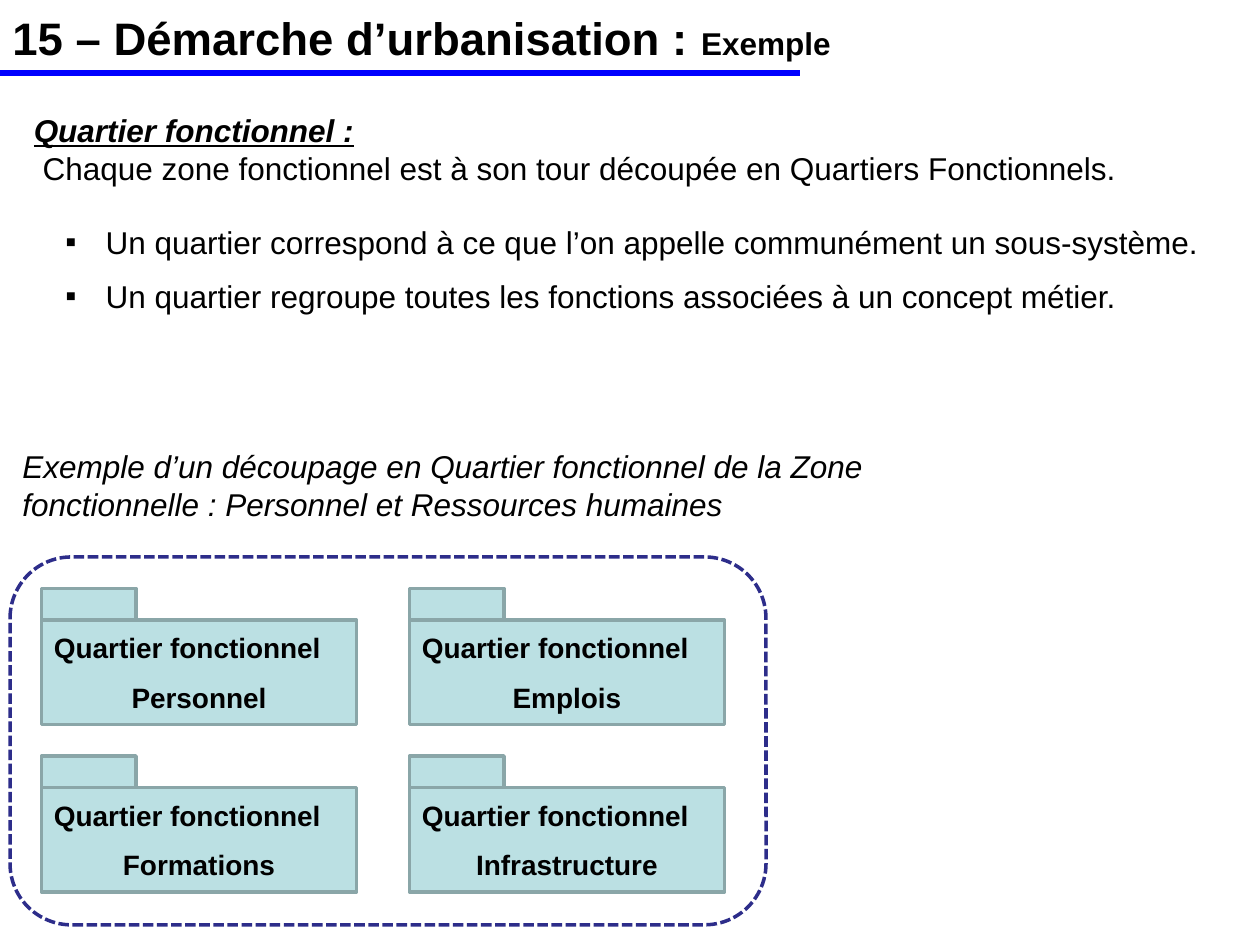
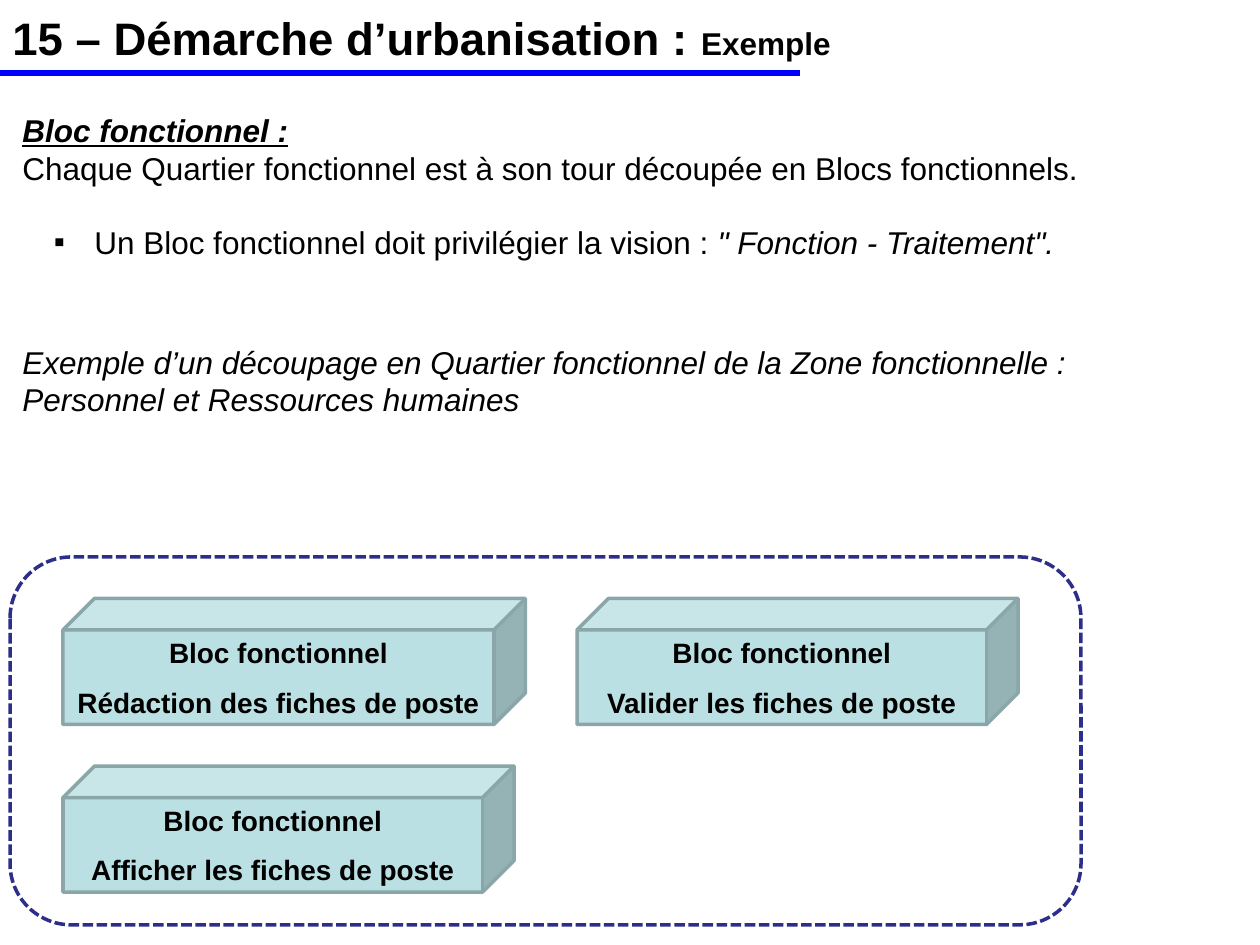
from lxml.etree import SubElement
from pptx import Presentation
from pptx.dml.color import RGBColor
from pptx.enum.dml import MSO_LINE
from pptx.enum.shapes import MSO_CONNECTOR, MSO_SHAPE
from pptx.enum.text import MSO_ANCHOR, PP_ALIGN
from pptx.oxml.ns import qn
from pptx.util import Inches, Pt

FONT = "Arial"
BLACK, WHITE, BLUE = "000000", "FFFFFF", "0000FF"
FRAME_LINE, BLOCK_FILL, BLOCK_LINE = "2D2D8A", "BBE0E3", "8AA6A8"
LEFT, BODY_TOP, FRAME_TOP, FRAME_HEIGHT = 0.08, 0.83, 4.42, 2.92
ROW_PITCH, COLUMN_PITCH = 1.33, 2.92
FOLDER_WIDTH, FOLDER_HEIGHT, TAB_WIDTH, TAB_HEIGHT = 2.5, 0.83, 0.75, 0.25
CUBE_HEIGHT = 1


def rgb(color):
    return RGBColor.from_string(color)


def add_text(p, text, size=18, bold=False, italic=False, underline=False):
    r = p.add_run()
    r.text = text
    font = r.font
    font.name, font.size, font.color.rgb = FONT, Pt(size), rgb(BLACK)
    font.bold, font.italic, font.underline = bold, italic, underline
    return p


def add_paragraph(tf, before=0, align=PP_ALIGN.LEFT, margin=0, bullet=False):
    first = tf.paragraphs[0]
    p = tf.add_paragraph() if first.runs else first
    p.alignment = align
    p.space_before = Pt(before)
    pPr = p._p.get_or_add_pPr()
    pPr.set("marL", str(Inches(margin)))
    if bullet:
        pPr.set("indent", str(-Inches(0.32)))
        SubElement(pPr, qn("a:buFont"), typeface=FONT)
        SubElement(pPr, qn("a:buChar"), char="▪")
    return p


def add_box(s, left, top, width, height, anchor=MSO_ANCHOR.TOP):
    box = s.shapes.add_textbox(Inches(left), Inches(top), Inches(width), Inches(height))
    tf = box.text_frame
    tf.word_wrap = True
    tf.vertical_anchor = anchor
    return tf


def add_preset(shapes, preset, left, top, width, height, fill=BLOCK_FILL, line=BLOCK_LINE):
    sp = shapes.add_shape(preset, Inches(left), Inches(top), Inches(width), Inches(height))
    sp.shadow.inherit = False
    sp.fill.solid()
    sp.fill.fore_color.rgb = rgb(fill)
    sp.line.color.rgb = rgb(line)
    sp.line.width = Pt(2)
    return sp


def add_label(sp, kind, name, kind_align=PP_ALIGN.CENTER, inset=0.1):
    tf = sp.text_frame
    tf.word_wrap = True
    tf.vertical_anchor = MSO_ANCHOR.MIDDLE
    tf.margin_left = tf.margin_right = Inches(inset)
    add_text(add_paragraph(tf, align=kind_align), kind, size=16, bold=True)
    add_text(add_paragraph(tf, before=9, align=PP_ALIGN.CENTER), name, size=16, bold=True)


def add_title(s):
    line = s.shapes.add_connector(MSO_CONNECTOR.STRAIGHT, 0, Inches(0.58), Inches(6.35), Inches(0.58))
    line.line.color.rgb = rgb(BLUE)
    line.line.width = Pt(3)
    SubElement(line._element.spPr, qn("a:effectLst"))
    p = add_paragraph(add_box(s, 0, 0, 10, 0.6, MSO_ANCHOR.MIDDLE))
    add_text(p, "15 – Démarche d’urbanisation : ", size=26, bold=True)
    add_text(p, "Exemple", bold=True)


def add_definition(s, left, width, height, heading, sentence, bullets, margin=0):
    tf = add_box(s, left, BODY_TOP, width, height)
    add_text(add_paragraph(tf), heading, bold=True, italic=True, underline=True)
    add_text(add_paragraph(tf, margin=margin), sentence)
    for i, (text, emphasis) in enumerate(bullets):
        p = add_paragraph(tf, before=9 if i else 21, margin=0.57, bullet=True)
        add_text(p, text)
        if emphasis:
            add_text(p, emphasis, italic=True)


def add_caption(s, top, width):
    p = add_paragraph(add_box(s, LEFT, top, width, 0.71))
    add_text(p, "Exemple d’un découpage en Quartier fonctionnel de la Zone fonctionnelle : "
                "Personnel et Ressources humaines", italic=True)


def add_frame(s, width):
    frame = add_preset(s.shapes, MSO_SHAPE.ROUNDED_RECTANGLE, LEFT, FRAME_TOP, width, FRAME_HEIGHT,
                       WHITE, FRAME_LINE)
    frame.line.dash_style = MSO_LINE.SQUARE_DOT


def add_folder(s, left, top, name):
    shapes = s.shapes.add_group_shape().shapes
    body = add_preset(shapes, MSO_SHAPE.RECTANGLE, left, top + TAB_HEIGHT, FOLDER_WIDTH, FOLDER_HEIGHT)
    add_label(body, "Quartier fonctionnel", name, PP_ALIGN.LEFT)
    add_preset(shapes, MSO_SHAPE.RECTANGLE, left, top, TAB_WIDTH, TAB_HEIGHT)


def add_cube(s, left, top, width, name):
    cube = add_preset(s.shapes, MSO_SHAPE.CUBE, left, top, width, CUBE_HEIGHT)
    add_label(cube, "Bloc fonctionnel", name, inset=0.05)


def build_district_slide(s):
    add_frame(s, 6)
    add_definition(s, 0.17, 9.67, 2.05, "Quartier fonctionnel :",
                   "Chaque zone fonctionnel est à son tour découpée en Quartiers Fonctionnels.",
                   [("Un quartier correspond à ce que l’on appelle communément un sous-système.", ""),
                    ("Un quartier regroupe toutes les fonctions associées à un concept métier.", "")],
                   margin=0.07)
    for i, name in enumerate(["Personnel", "Emplois", "Formations", "Infrastructure"]):
        row, column = divmod(i, 2)
        add_folder(s, 0.33 + column * COLUMN_PITCH, 4.67 + row * ROW_PITCH, name)
    add_caption(s, 3.5, 7)
    add_title(s)


def build_block_slide(s):
    add_frame(s, 8.5)
    add_title(s)
    add_definition(s, LEFT, 9.75, 1.75, "Bloc fonctionnel :",
                   "Chaque Quartier fonctionnel est à son tour découpée en Blocs fonctionnels.",
                   [("Un Bloc fonctionnel doit privilégier la vision : ", "\" Fonction - Traitement\".")])
    add_caption(s, 2.67, 9.25)
    for left, row, width, name in [(0.5, 0, 3.67, "Rédaction des fiches de poste"),
                                   (0.5, 1, 3.58, "Afficher les fiches de poste"),
                                   (4.58, 0, 3.5, "Valider les fiches de poste")]:
        add_cube(s, left, 4.75 + row * ROW_PITCH, width, name)


def main():
    prs = Presentation()
    prs.slide_width, prs.slide_height = Inches(10), Inches(7.5)
    for build in (build_district_slide, build_block_slide):
        build(prs.slides.add_slide(prs.slide_layouts[6]))
    prs.save("out.pptx")


if __name__ == "__main__":
    main()
